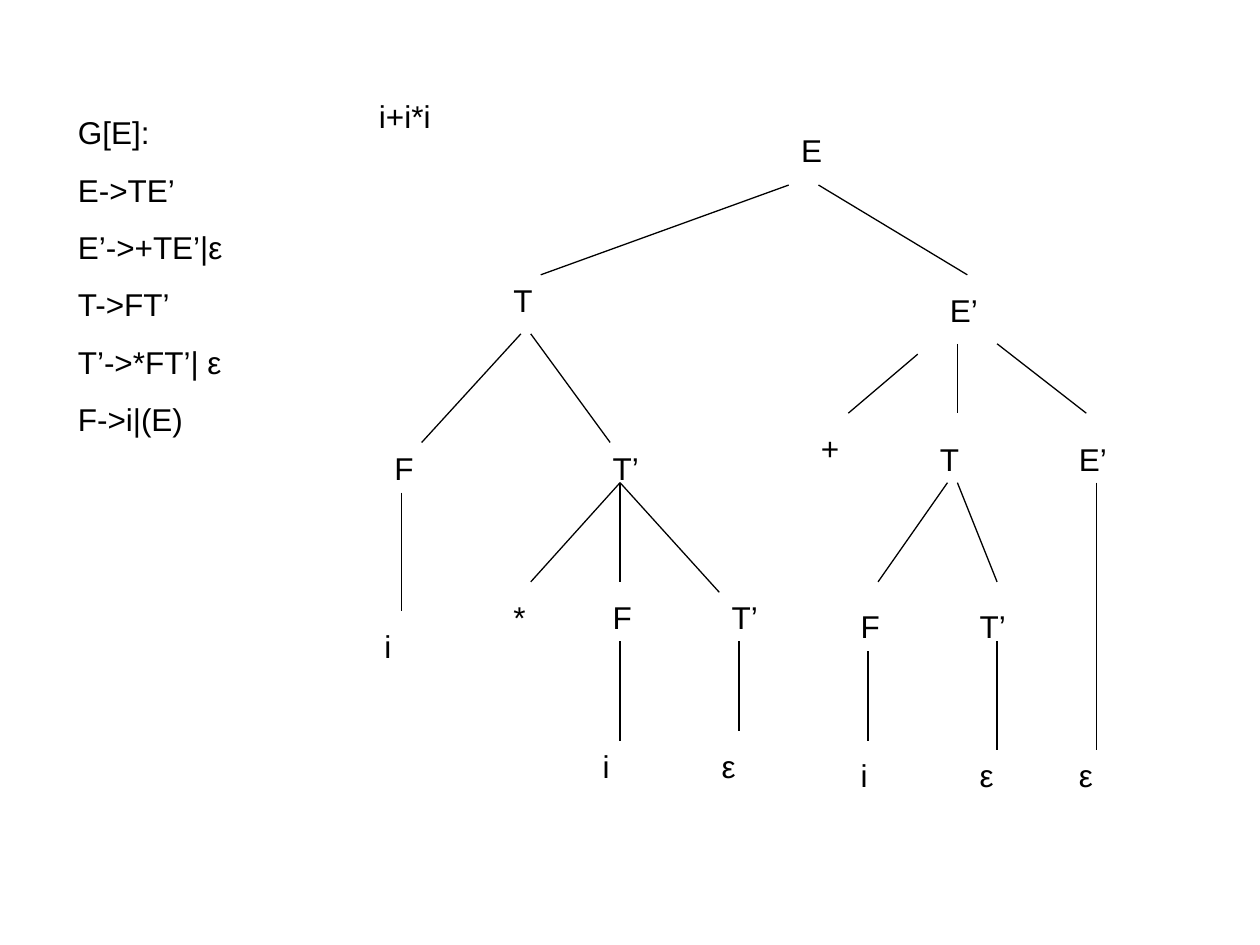
import typing

import pptx
import pptx.dml.color
import pptx.enum.shapes
import pptx.enum.text
import pptx.oxml
import pptx.slide
import pptx.util

Cm = pptx.util.Cm
Pt = pptx.util.Pt
BLACK = pptx.dml.color.RGBColor(0, 0, 0)
FONT = "Arial"
LINE_H = 1.02


class Label(typing.NamedTuple):
    text: str
    left: float
    top: float
    width: float
    height: float = LINE_H


class Branch(typing.NamedTuple):
    x: float
    y: float
    ends: tuple[tuple[float, float], ...]


RULES = "\n".join(
    ["G[E]:", "E->TE’", "E’->+TE’|ε", "T->FT’", "T’->*FT’| ε", "F->i|(E)"]
)

LABELS = [
    Label(RULES, 1.32, 2.16, 5.38, 6.81),
    Label("i+i*i", 7.39, 1.83, 4.19),
    Label("E", 15.9, 2.51, 1.8),
    Label("T", 10.1, 5.54, 1.4),
    Label("E’", 18.9, 5.74, 1.2),
    Label("F", 7.7, 8.92, 1.4),
    Label("T’", 12.1, 8.92, 1.4),
    Label("+", 16.3, 8.53, 1),
    Label("T", 18.7, 8.74, 1.6),
    Label("E’", 21.5, 8.74, 1.6),
    Label("i", 7.5, 12.52, 1),
    Label("*", 10.1, 11.94, 0.8),
    Label("F", 12.1, 11.94, 0.8),
    Label("T’", 14.5, 11.94, 1.4),
    Label("F", 17.1, 12.12, 1.2),
    Label("T’", 19.5, 12.12, 1.4),
    Label("i", 11.9, 14.94, 1.2),
    Label("ε", 14.3, 14.94, 1.2),
    Label("i", 17.1, 15.11, 0.8),
    Label("ε", 19.5, 15.11, 1.2),
    Label("ε", 21.5, 15.11, 1.2),
]

BRANCHES = [
    Branch(15.9, 3.73, ((10.9, 5.54),)),
    Branch(16.5, 3.73, ((19.5, 5.54),)),
    Branch(10.5, 6.73, ((8.5, 8.92),)),
    Branch(10.7, 6.73, ((12.3, 8.92),)),
    Branch(8.1, 9.93, ((8.1, 12.32),)),
    Branch(12.5, 9.73, ((10.7, 11.73), (12.5, 11.73), (14.5, 11.94))),
    Branch(12.5, 12.93, ((12.5, 14.94),)),
    Branch(14.9, 12.93, ((14.9, 14.73),)),
    Branch(18.5, 7.14, ((17.1, 8.33),)),
    Branch(19.3, 6.93, ((19.3, 8.33),)),
    Branch(20.1, 6.93, ((21.9, 8.33),)),
    Branch(19.1, 9.73, ((17.7, 11.73),)),
    Branch(19.3, 9.73, ((20.1, 11.73),)),
    Branch(17.5, 13.13, ((17.5, 14.94),)),
    Branch(20.1, 12.93, ((20.1, 15.11),)),
    Branch(22.1, 9.73, ((22.1, 15.11),)),
]


def draw_label(slide: pptx.slide.Slide, label: Label) -> None:
    box = slide.shapes.add_textbox(
        Cm(label.left), Cm(label.top), Cm(label.width), Cm(label.height)
    )
    frame = box.text_frame
    frame.word_wrap = True
    frame.auto_size = pptx.enum.text.MSO_AUTO_SIZE.SHAPE_TO_FIT_TEXT
    frame.text = label.text
    for para in frame.paragraphs:
        para.space_before = Pt(11.2)
        para.font.name = FONT
        para.font.size = Pt(18)
        para.font.color.rgb = BLACK


def draw_branch(slide: pptx.slide.Slide, branch: Branch) -> None:
    for x, y in branch.ends:
        line = slide.shapes.add_connector(
            pptx.enum.shapes.MSO_CONNECTOR.STRAIGHT,
            Cm(branch.x), Cm(branch.y), Cm(x), Cm(y),
        )
        line.line.color.rgb = BLACK
        line.line.width = Pt(0.74)
        props = line._element.spPr
        props.append(pptx.oxml.xmlchemy.OxmlElement("a:effectLst"))


deck = pptx.Presentation()
deck.slide_width = Cm(25.4)
deck.slide_height = Cm(19.05)
slide = deck.slides.add_slide(deck.slide_layouts[6])
for branch in BRANCHES:
    draw_branch(slide, branch)
for label in LABELS:
    draw_label(slide, label)
deck.save("out.pptx")
